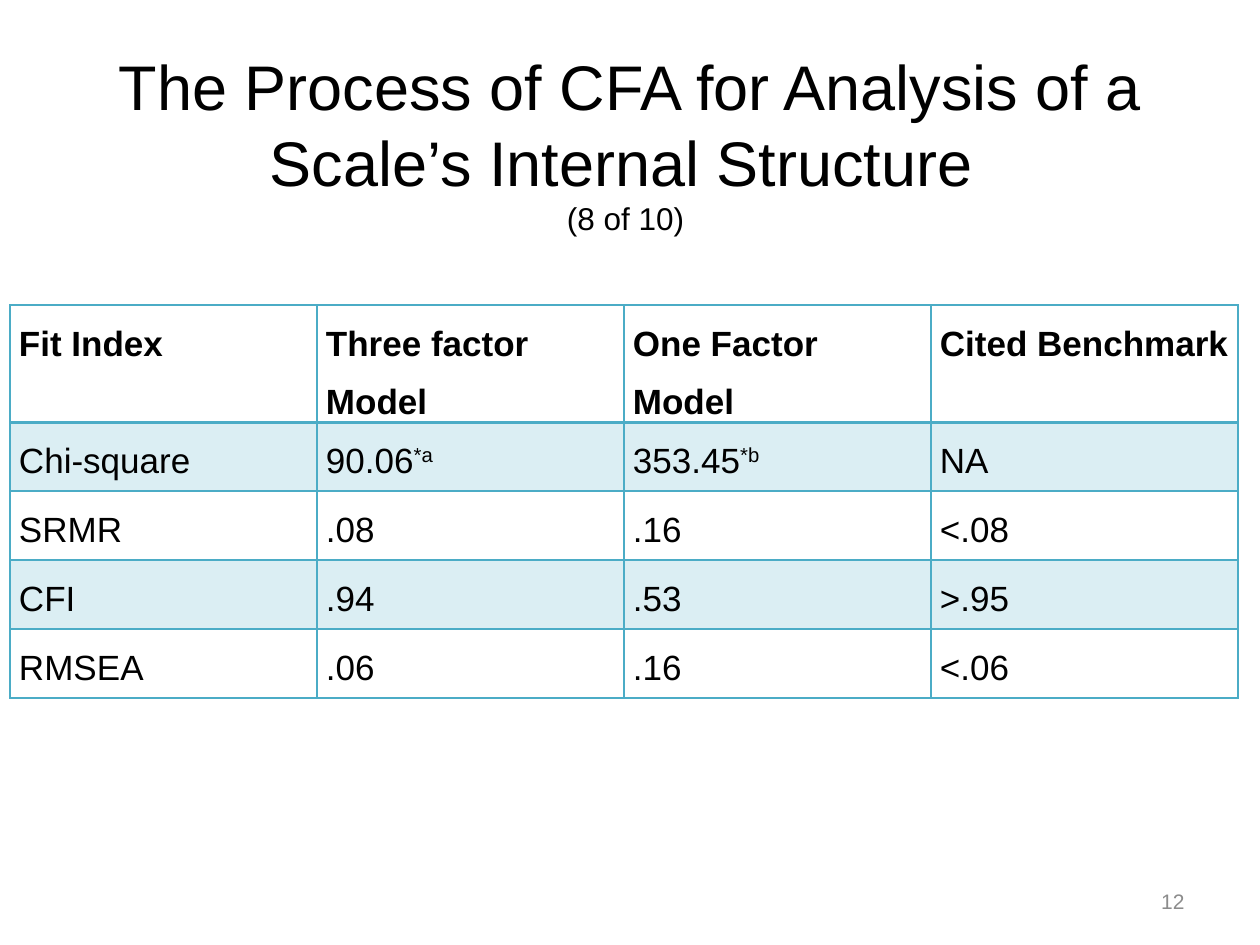
from lxml.etree import SubElement
from pptx import Presentation
from pptx.dml.color import RGBColor
from pptx.enum.text import MSO_ANCHOR, MSO_AUTO_SIZE, PP_ALIGN
from pptx.oxml import parse_xml
from pptx.oxml.ns import nsdecls, qn
from pptx.util import Emu, Pt

EMU_PER_PX = 914400 / 126
BLACK, GREY, TEAL = "000000", "8C8C8C", "4BACC6"

ROWS = [
    ["Fit Index", "Three factor Model", "One Factor Model", "Cited Benchmark"],
    ["Chi-square", "90.06^*a", "353.45^*b", "NA"],
    ["SRMR", ".08", ".16", "<.08"],
    ["CFI", ".94", ".53", ">.95"],
    ["RMSEA", ".06", ".16", "<.06"],
]


def px(n):
    return Emu(round(n * EMU_PER_PX))


def rgb(value):
    return RGBColor.from_string(value)


class Deck:
    """Holds the presentation, its font and the current slide."""

    font = "Arial"

    def __init__(self, width, height):
        self.prs = Presentation()
        self.prs.slide_width, self.prs.slide_height = px(width), px(height)
        self.slide = self.prs.slides.add_slide(self.prs.slide_layouts[5])

    def style(self, r, size, color=BLACK, bold=False):
        r.font.name, r.font.size, r.font.bold = self.font, Pt(size), bold
        r.font.color.rgb = rgb(color)

    def place(self, sp, x, y, w, h):
        sp.left, sp.top, sp.width, sp.height = px(x), px(y), px(w), px(h)

    def title(self, text, sizes, *box):
        """Write a title whose runs, split by line breaks, take sizes in turn."""
        sp = self.slide.shapes.title
        self.place(sp, *box)
        tf = sp.text_frame
        tf.text = text
        tf.auto_size, tf.vertical_anchor = MSO_AUTO_SIZE.NONE, MSO_ANCHOR.MIDDLE
        p = tf.paragraphs[0]
        p.alignment = PP_ALIGN.CENTER
        for r, size in zip(p.runs, sizes):
            self.style(r, size)

    def text(self, text, size, color, align, *box):
        tf = self.slide.shapes.add_textbox(*map(px, box)).text_frame
        tf.word_wrap, tf.vertical_anchor = True, MSO_ANCHOR.MIDDLE
        tf.text = text
        p = tf.paragraphs[0]
        p.alignment = align
        self.style(p.runs[0], size, color)

    def table(self, rows, x, y, col_width, header_height, row_height):
        n_rows, n_cols = len(rows), len(rows[0])
        height = header_height + (n_rows - 1) * row_height
        table = self.slide.shapes.add_table(
            n_rows, n_cols, px(x), px(y), px(n_cols * col_width), px(height)).table
        for column in table.columns:
            column.width = px(col_width)
        for i, values in enumerate(rows):
            table.rows[i].height = px(row_height if i else header_height)
            for j, value in enumerate(values):
                self.cell(table.cell(i, j), value, i)

    def cell(self, cell, value, row):
        """Fill one cell; text after ^ is superscript and odd rows are tinted."""
        cell.margin_left = cell.margin_right = px(9)
        cell.margin_top = cell.margin_bottom = 0
        p = cell.text_frame.paragraphs[0]
        p.line_spacing = 1.5
        if row:
            p.space_after = Pt(12)
        for k, part in enumerate(value.split("^")):
            r = p.add_run()
            r.text = part
            self.style(r, 20, bold=row == 0)
            if k:
                r.font._element.set("baseline", "30000")
        if row % 2:
            cell.fill.solid()
            cell.fill.fore_color.rgb = rgb(TEAL)
            color = cell._tc.tcPr.find(".//" + qn("a:srgbClr"))
            SubElement(color, qn("a:alpha")).set("val", "20000")
        else:
            cell.fill.background()
        widths = {"L": 1, "R": 1, "T": 2 if row == 1 else 1, "B": 1 if row else 2}
        for k, (side, width) in enumerate(widths.items()):
            cell._tc.tcPr.insert(k, parse_xml(
                f'<a:ln{side} {nsdecls("a")} w="{Pt(width)}"><a:solidFill>'
                f'<a:srgbClr val="{TEAL}"/></a:solidFill></a:ln{side}>'))


def main():
    deck = Deck(1260, 945)
    deck.title("The Process of CFA for Analysis of a Scale’s Internal Structure \v(8 of 10) ",
               (36, 18), 63, 63, 1134, 158)
    deck.table(ROWS, 10, 305, 307, 117, 69)
    deck.text("12", 12, GREY, PP_ALIGN.RIGHT, 1134, 876, 63, 50)
    deck.prs.save("out.pptx")


if __name__ == "__main__":
    main()
